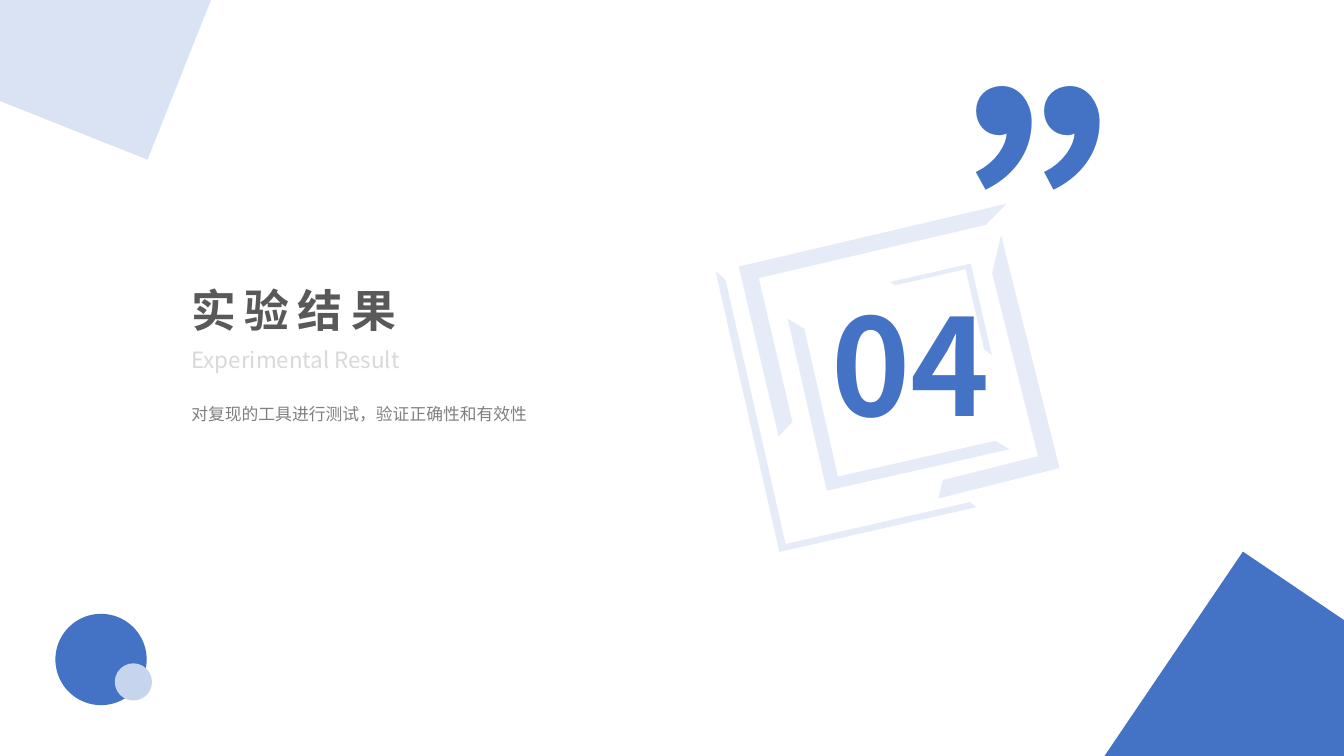
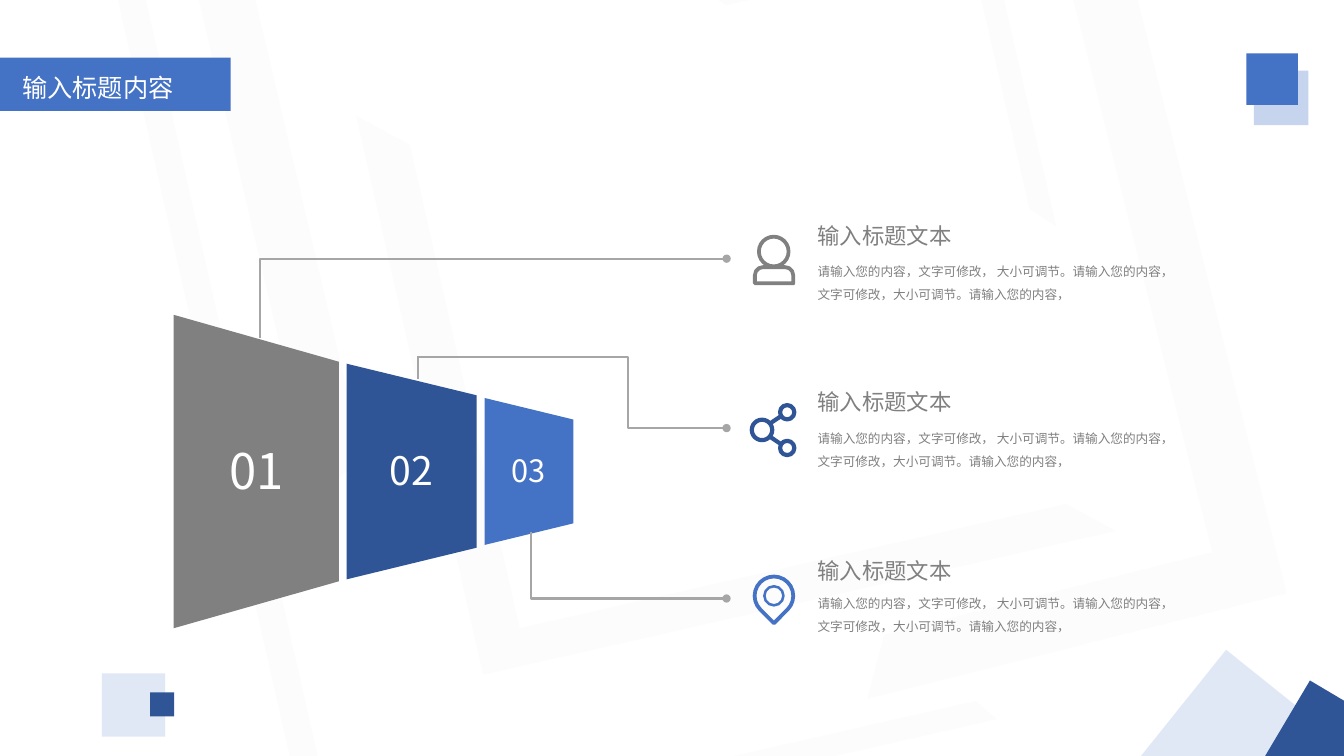
from lxml.etree import SubElement
from pptx import Presentation
from pptx.dml.color import RGBColor
from pptx.enum.shapes import MSO_CONNECTOR, MSO_SHAPE
from pptx.enum.text import MSO_ANCHOR, MSO_AUTO_SIZE, PP_ALIGN
from pptx.oxml.ns import qn
from pptx.util import Pt

BLUE = RGBColor(0x44, 0x72, 0xC4)
NAVY = RGBColor(0x2F, 0x55, 0x97)
PALE = RGBColor(0xC7, 0xD4, 0xED)
MIST = RGBColor(0xDA, 0xE3, 0xF3)
GRAY = RGBColor(0x80, 0x80, 0x80)
RULE = RGBColor(0xA6, 0xA6, 0xA6)
DARK = RGBColor(0x59, 0x59, 0x59)
LIGHT = RGBColor(0xD9, 0xD9, 0xD9)
WHITE = RGBColor(0xFF, 0xFF, 0xFF)
FONT = "Noto Sans CJK SC"
SECTION_LAYOUT, TITLE_LAYOUT = 2, 5
INSETS = (7.2, 3.6, 7.2, 3.6)

# offset of the centre, width, height, rotation, adjustments, mirrored
EMBLEM = [
    (4.3, 45.7, 126, 133.9, 257.2, (0.08, 0.065), False),
    (-33.5, 49.3, 205.9, 144, 257.2, (0.039, 0.032), False),
    (34.6, -1.1, 67, 59, 77, (0.077, 0.052), False),
    (0, 0, 196.6, 124.6, 346.8, (0.091, 0.097), False),
    (55.1, 33.5, 171.4, 89.3, 75.9, (0.144, 0.134), True),
]


class Deck:
    def __init__(self):
        self.prs = Presentation()
        self.prs.slide_width, self.prs.slide_height = Pt(960), Pt(540)
        self.slide = None

    def new_slide(self, layout):
        self.slide = self.prs.slides.add_slide(self.prs.slide_layouts[layout])

    def shape(self, preset, left, top, width, height, fill=None, alpha=None,
              rotation=0, adjust=(), outline=None, weight=2.7):
        """Add a preset shape, filled or outlined; alpha is opacity in percent."""
        shape = self.slide.shapes.add_shape(
            preset, Pt(left), Pt(top), Pt(width), Pt(height))
        shape.shadow.inherit = False
        shape.rotation = rotation
        for index, value in enumerate(adjust):
            shape.adjustments[index] = value
        if fill is None:
            shape.fill.background()
        else:
            shape.fill.solid()
            shape.fill.fore_color.rgb = fill
        if alpha is not None:
            color = shape.element.spPr.find(f".//{qn('a:srgbClr')}")
            SubElement(color, qn("a:alpha")).set("val", str(alpha * 1000))
        if outline is None:
            shape.line.fill.background()
        else:
            shape.line.color.rgb = outline
            shape.line.width = Pt(weight)
        return shape

    def square(self, left, top, side, fill, **style):
        self.shape(MSO_SHAPE.RECTANGLE, left, top, side, side, fill, **style)

    def circle(self, x, y, radius, fill=None, **style):
        self.shape(MSO_SHAPE.OVAL, x - radius, y - radius,
                   2 * radius, 2 * radius, fill, **style)

    def emblem(self, x, y, scale_x, scale_y, color, alpha):
        """Draw the nested half frames around the point x, y."""
        for dx, dy, width, height, rotation, adjust, mirrored in EMBLEM:
            upright = rotation > 315
            w = width * (scale_x if upright else scale_y)
            h = height * (scale_y if upright else scale_x)
            frame = self.shape(
                MSO_SHAPE.HALF_FRAME, x + dx * scale_x - w / 2,
                y + dy * scale_y - h / 2, w, h, color, alpha, rotation, adjust)
            if mirrored:
                frame.element.spPr.find(qn("a:xfrm")).set("flipH", "1")

    def set_text(self, holder, box, content, size, color, bold=False,
                 align=PP_ALIGN.LEFT, insets=INSETS, leading=1.0, tracking=0,
                 anchor=MSO_ANCHOR.TOP):
        """Place a text holder and fill it with one formatted paragraph."""
        holder.left, holder.top, holder.width, holder.height = map(Pt, box)
        frame = holder.text_frame
        frame.word_wrap = True
        frame.auto_size = MSO_AUTO_SIZE.NONE
        frame.vertical_anchor = anchor
        (frame.margin_left, frame.margin_top,
         frame.margin_right, frame.margin_bottom) = map(Pt, insets)
        frame.text = content
        paragraph = frame.paragraphs[0]
        paragraph.alignment = align
        paragraph.line_spacing = leading
        paragraph.space_before = Pt(0)
        font = paragraph.font
        font.name, font.size, font.bold = FONT, Pt(size), bold
        font.color.rgb = color
        defaults = holder.element.find(f".//{qn('a:defRPr')}")
        SubElement(defaults, qn("a:ea")).set("typeface", FONT)
        if tracking:
            defaults.set("spc", str(tracking * 100))

    def text(self, box, content, size, color, rotation=0, **style):
        holder = self.slide.shapes.add_textbox(*map(Pt, box))
        holder.rotation = rotation
        self.set_text(holder, box, content, size, color, **style)

    def title(self, box, content, size, color, fill=None, **style):
        """Set the title in front of everything drawn so far."""
        title = self.slide.shapes.title
        if fill is not None:
            title.fill.solid()
            title.fill.fore_color.rgb = fill
        self.set_text(title, box, content, size, color, **style)
        title.element.getparent().append(title.element)

    def body(self, box, content, size, color):
        self.set_text(self.slide.placeholders[1], box, content, size, color)

    def line(self, start, end, color=RULE, weight=1.5, bend=None, dot=False):
        """Draw a straight line, or an elbow that turns at the share bend."""
        kind = MSO_CONNECTOR.STRAIGHT if bend is None else MSO_CONNECTOR.ELBOW
        line = self.slide.shapes.add_connector(kind, *map(Pt, start + end))
        line.line.color.rgb = color
        line.line.width = Pt(weight)
        properties = line.element.spPr
        SubElement(properties, qn("a:effectLst"))
        if bend is not None:
            guides = properties.find(f".//{qn('a:avLst')}")
            guide = SubElement(guides, qn("a:gd"))
            guide.set("name", "adj1")
            guide.set("fmla", f"val {round(bend * 100000)}")
        if dot:
            tail = SubElement(properties.find(qn("a:ln")), qn("a:tailEnd"))
            tail.set("type", "oval")


def section_slide(deck):
    deck.new_slide(SECTION_LAYOUT)
    deck.emblem(637.6, 228.6, 1, 1, BLUE, 13)
    deck.square(-64.8, -136.8, 218.2, MIST, rotation=201.7)
    deck.square(815, 432.7, 198.7, BLUE, rotation=34.1)
    deck.text((811.4, -123.8, 126, 296.6), "“", 239, BLUE, rotation=180, bold=True)
    deck.circle(72.2, 471.1, 32.6, BLUE)
    deck.circle(95.3, 487.1, 13.3, PALE)
    deck.text((586.8, 198, 134, 124), "04", 96, BLUE, bold=True)
    deck.title((129.6, 198, 285, 46), "实验结果", 32, DARK, bold=True, tracking=6)
    deck.body((129.6, 243.4, 346, 26.6), "Experimental Result", 16, LIGHT)
    deck.text((129.6, 278, 312, 26.6), "对复现的工具进行测试，验证正确性和有效性",
              12, GRAY, leading=1.5)


def person_icon(deck):
    deck.circle(552.7, 179.7, 10.6, outline=GRAY)
    deck.shape(MSO_SHAPE.ROUND_2_SAME_RECTANGLE, 539.2, 190.8, 27.4, 11.6,
               adjust=(0.5, 0), outline=GRAY)


def share_icon(deck):
    deck.circle(544.3, 307.1, 7.3, outline=NAVY, weight=3)
    for node_y, start, end in ((294.5, (550, 302.5), (557.5, 297.5)),
                               (320, (550.5, 312.3), (557.5, 317))):
        deck.circle(562.3, node_y, 5.1, outline=NAVY, weight=3)
        deck.line(start, end, NAVY, 3)


def pin_icon(deck):
    deck.shape(MSO_SHAPE.TEAR, 539, 411.8, 27.6, 27.6,
               rotation=135, adjust=(1,), outline=BLUE)
    deck.circle(552.8, 425.6, 6.8, outline=BLUE, weight=1.8)


def funnel(deck):
    left, middle, gap = 124, 336.8, 5.6
    for number, size, color, tall, wide, slope in (
            ("01", 35, GRAY, 223.9, 118, 0.284),
            ("02", 28, NAVY, 154, 92.9, 0.243),
            ("03", 22, BLUE, 105, 63.4, 0.243)):
        center = left + wide / 2
        deck.shape(MSO_SHAPE.TRAPEZOID, center - tall / 2, middle - wide / 2,
                   tall, wide, color, rotation=90, adjust=(slope,))
        deck.text((center - 24.5, middle - 22, 49, 42), number, size, WHITE,
                  align=PP_ALIGN.CENTER, insets=(0, 0, 0, 0),
                  anchor=MSO_ANCHOR.MIDDLE)
        left += wide + gap


def funnel_slide(deck):
    deck.new_slide(TITLE_LAYOUT)
    deck.emblem(510.8, 82.4, 3.46, 3.25, RULE, 3)
    deck.title((0, 41.2, 164.8, 38), "输入标题内容", 18, WHITE, fill=BLUE,
               insets=(16, 5, 0, 0), anchor=MSO_ANCHOR.MIDDLE)
    deck.square(895.7, 50.4, 39, PALE)
    deck.square(830.2, 486, 108, PALE, alpha=53, rotation=308.7)
    deck.square(72.7, 481, 45.2, PALE, alpha=53)
    deck.square(107.3, 494.6, 17.1, NAVY)
    deck.square(890.3, 38.2, 36.8, BLUE)
    deck.square(914.4, 498.2, 65.5, NAVY, rotation=300.7)

    funnel(deck)
    dot_x = 519
    deck.line((185.4, 241.4), (dot_x, 184.8), bend=0, dot=True)
    deck.line((298.8, 254.9), (dot_x, 305.8), bend=0.68, dot=True)
    deck.line((298.8, 254.2), (298.8, 270.8))
    deck.line((379.2, 380), (dot_x, 427.5), bend=0, dot=True)

    detail = ("请输入您的内容，文字可修改， 大小可调节。请输入您的内容，"
              "文字可修改，大小可调节。请输入您的内容，")
    for icon, heading_top, detail_top in ((person_icon, 158.4, 183),
                                          (share_icon, 277.2, 302.4),
                                          (pin_icon, 398, 420.5)):
        icon(deck)
        deck.text((584, heading_top, 124.6, 19.4), "输入标题文本", 16, GRAY,
                  insets=(0, 0, 0, 0))
        deck.text((584, detail_top, 252, 31), detail, 9, GRAY,
                  insets=(0, 0, 0, 0), leading=1.5)


def main():
    deck = Deck()
    section_slide(deck)
    funnel_slide(deck)
    deck.prs.save("out.pptx")


if __name__ == "__main__":
    main()
